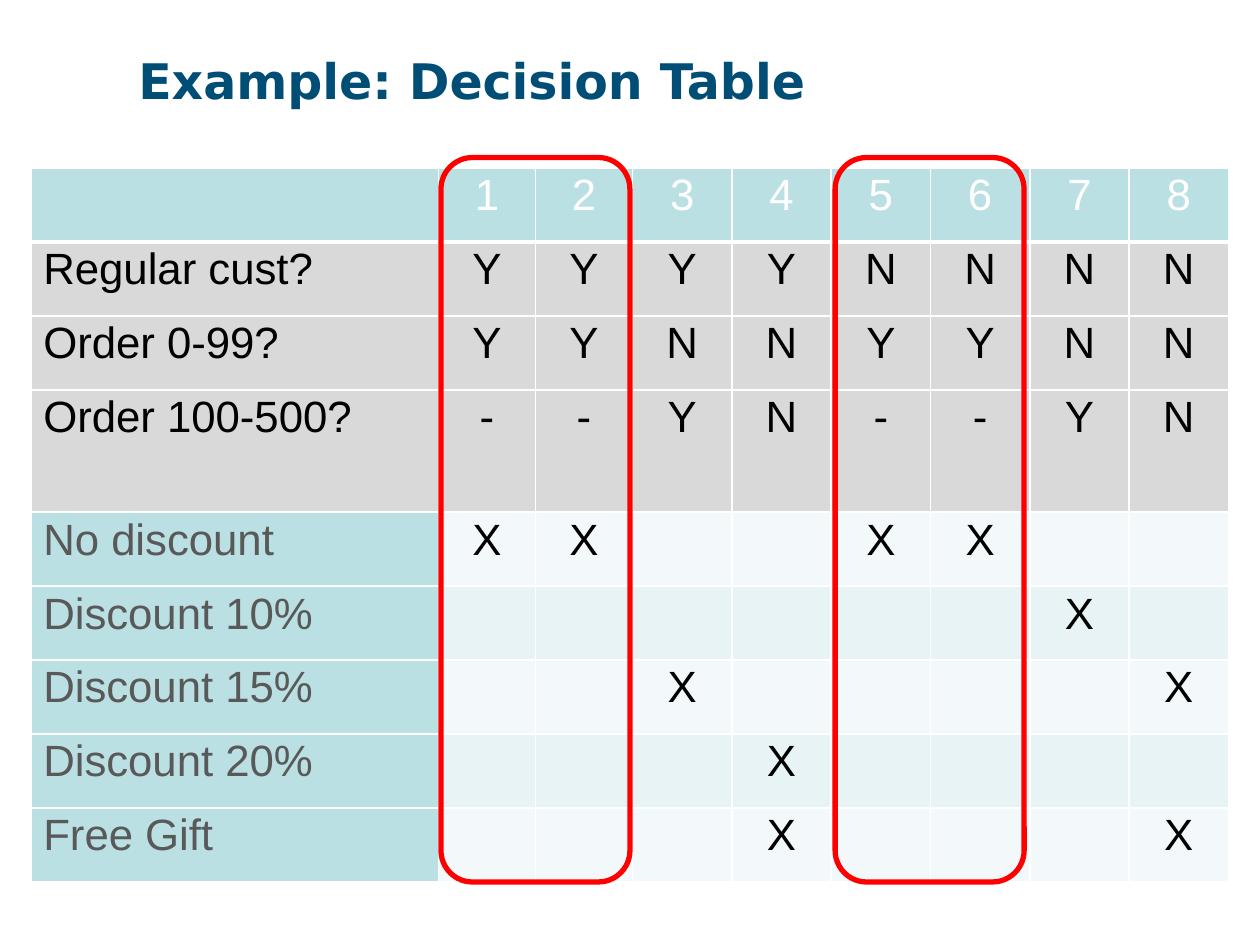
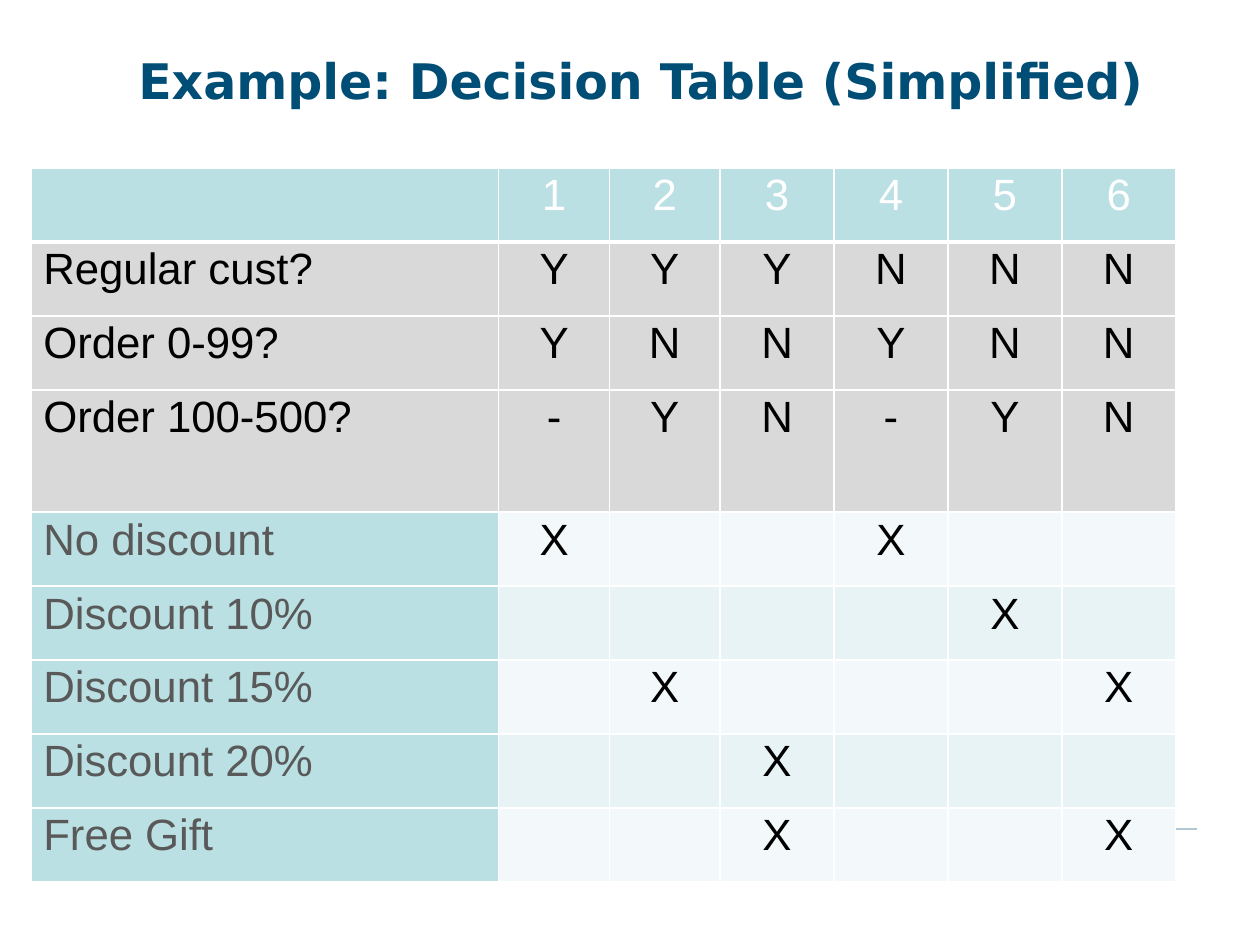
from lxml.etree import SubElement
from pptx import Presentation
from pptx.dml.color import RGBColor
from pptx.enum.shapes import MSO_CONNECTOR as Connector, MSO_SHAPE as Shape
from pptx.enum.text import PP_ALIGN as Align
from pptx.oxml.ns import qn
from pptx.util import Pt

CONDITIONS = ["Regular cust?", "Order 0-99?", "Order 100-500?"]
ACTIONS = ["No discount", "Discount 10%", "Discount 15%", "Discount 20%", "Free Gift"]
BLANK_MARK = "."

DECISIONS = [
    {
        "title": "Example: Decision Table",
        "rules": [
            "12345678",
            "YYYYNNNN", "YYNNYYNN", "--YN--YN",
            "XX..XX..", "......X.", "..X....X", "...X....", "...X...X",
        ],
        "widths": [232.5] + [55.5] * 2 + [56.75] * 6,
        "merged_rules": [252, 477.25],
    },
    {
        "title": "Example: Decision Table (Simplified)",
        "rules": [
            "123456",
            "YYYNNN", "YNNYNN", "-YN-YN",
            "X..X..", "....X.", ".X...X", "..X...", "..X..X",
        ],
        "widths": [267] + [63.25] * 2 + [65.1] * 4,
        "merged_rules": [],
    },
]

WHITE = RGBColor(0xFF, 0xFF, 0xFF)
BLACK = RGBColor(0, 0, 0)
NAVY = RGBColor(0x00, 0x4D, 0x75)
PALE_BLUE = RGBColor(0xB2, 0xC9, 0xD5)
TEAL = RGBColor(0xBB, 0xE0, 0xE3)
GREY = RGBColor(0xD9, 0xD9, 0xD9)
DARK_GREY = RGBColor(0x59, 0x59, 0x59)
RED = RGBColor(0xFF, 0, 0)
ACTION_BANDS = [RGBColor(0xF3, 0xF9, 0xFA), RGBColor(0xE7, 0xF3, 0xF4)]

TITLE_FONT, TABLE_FONT = "DejaVu Sans", "Arial"
TABLE_LEFT, TABLE_TOP = 18, 96
ROW_HEIGHT, LAST_CONDITION_HEIGHT = 42.25, 70
FIRST_ACTION = len(CONDITIONS) + 1


def format_text(paragraph, font_name, size, color, bold=False):
    for run in paragraph.runs:
        run.font.name = font_name
        run.font.size = Pt(size)
        run.font.bold = bold
        run.font.color.rgb = color


def add_footer_rule(slide):
    rule = slide.shapes.add_connector(
        Connector.STRAIGHT, Pt(684), Pt(473.75), Pt(36), Pt(473.75))
    rule.line.color.rgb = PALE_BLUE
    rule.line.width = Pt(1.25)
    SubElement(rule._element.spPr, qn("a:effectLst"))


def add_title(slide, title):
    frame = slide.shapes.add_textbox(Pt(72), Pt(21.6), Pt(612), Pt(90)).text_frame
    frame.word_wrap = True
    frame.margin_top = Pt(7.2)
    frame.text = title
    format_text(frame.paragraphs[0], TITLE_FONT, 28, NAVY, bold=True)


def set_borders(cell, bottom_width):
    properties = cell._tc.get_or_add_tcPr()
    for side, width in (("L", 1), ("R", 1), ("T", 1), ("B", bottom_width)):
        border = SubElement(properties, qn(f"a:ln{side}"), w=str(Pt(width)))
        fill = SubElement(border, qn("a:solidFill"))
        SubElement(fill, qn("a:srgbClr"), val=str(WHITE))


def cell_colors(row, column):
    if row == 0:
        return TEAL, WHITE
    if row < FIRST_ACTION:
        return GREY, BLACK
    if column == 0:
        return TEAL, DARK_GREY
    return ACTION_BANDS[(row - FIRST_ACTION) % 2], BLACK


def fill_cell(cell, text, row, column):
    background, text_color = cell_colors(row, column)
    set_borders(cell, 3 if row == 0 else 1)
    cell.fill.solid()
    cell.fill.fore_color.rgb = background
    if text in ("", BLANK_MARK):
        return
    cell.margin_left = cell.margin_right = Pt(6.75)
    cell.margin_top = cell.margin_bottom = Pt(0)
    cell.text_frame.text = text
    paragraph = cell.text_frame.paragraphs[0]
    paragraph.alignment = Align.CENTER if column else Align.LEFT
    paragraph.line_spacing = 1.07
    paragraph.space_after = Pt(8)
    format_text(paragraph, TABLE_FONT, 25, text_color)


def add_decision_table(slide, rules, widths):
    labels = [""] + CONDITIONS + ACTIONS
    heights = [ROW_HEIGHT] * len(labels)
    heights[FIRST_ACTION - 1] = LAST_CONDITION_HEIGHT
    table = slide.shapes.add_table(
        len(labels), len(widths), Pt(TABLE_LEFT), Pt(TABLE_TOP),
        Pt(sum(widths)), Pt(sum(heights))).table
    table.first_row = table.horz_banding = False
    for column, width in zip(table.columns, widths):
        column.width = Pt(width)
    for row, (label, marks) in enumerate(zip(labels, rules)):
        table.rows[row].height = Pt(heights[row])
        for column, text in enumerate([label, *marks]):
            fill_cell(table.cell(row, column), text, row, column)


def add_merged_rule_frame(slide, left):
    frame = slide.shapes.add_shape(
        Shape.ROUNDED_RECTANGLE, Pt(left), Pt(90), Pt(108), Pt(414))
    frame.shadow.inherit = False
    frame.fill.background()
    frame.line.color.rgb = RED
    frame.line.width = Pt(3)


def main():
    deck = Presentation()
    deck.slide_width, deck.slide_height = Pt(720), Pt(540)
    for decision in DECISIONS:
        slide = deck.slides.add_slide(deck.slide_layouts[6])
        add_footer_rule(slide)
        add_title(slide, decision["title"])
        add_decision_table(slide, decision["rules"], decision["widths"])
        for left in decision["merged_rules"]:
            add_merged_rule_frame(slide, left)
    deck.save("out.pptx")


if __name__ == "__main__":
    main()
